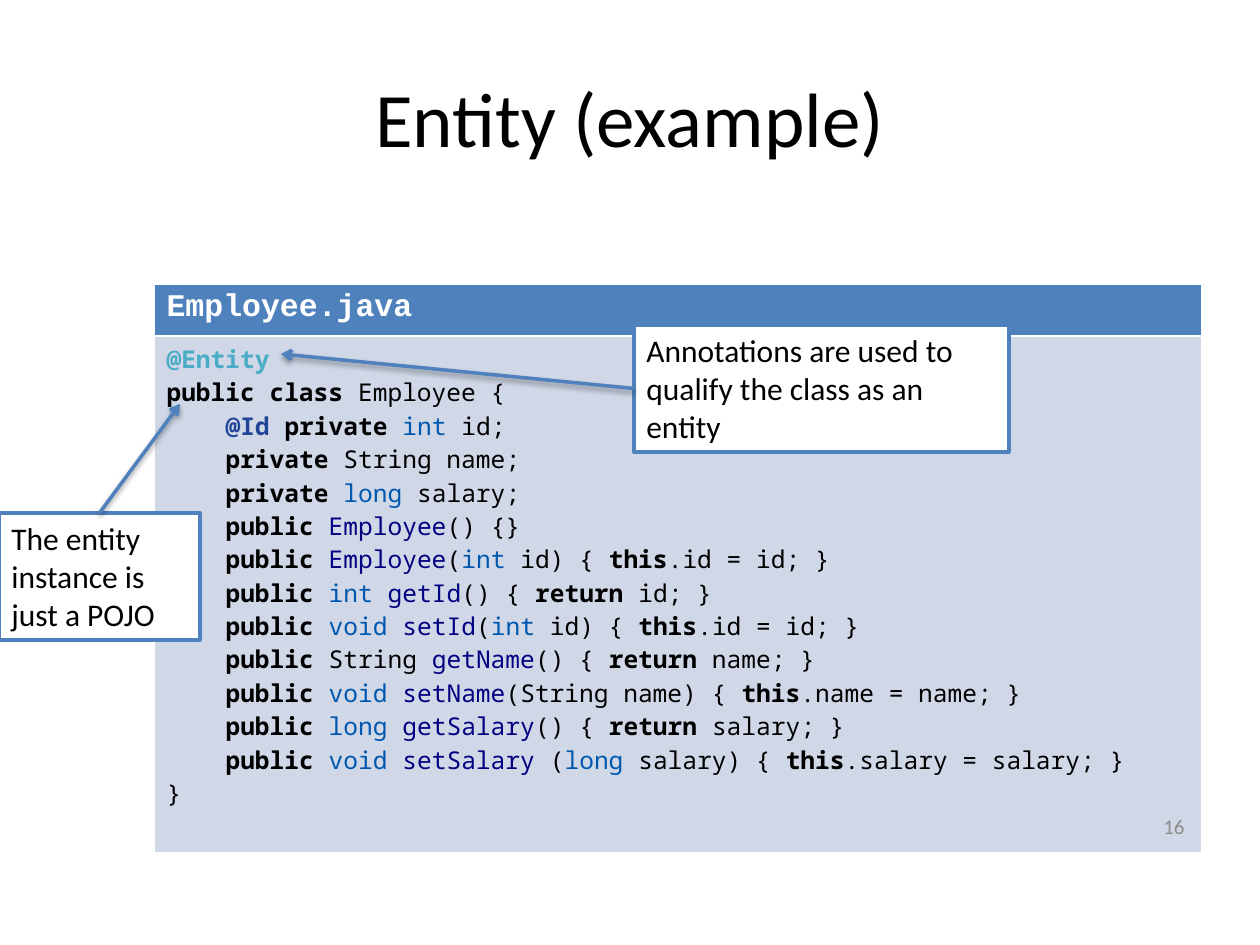
import pptx
import pptx.dml.color
import pptx.enum.shapes
import pptx.enum.text
import pptx.oxml
import pptx.oxml.ns
import pptx.util

PX = 914400 / 126
BLUE, WHITE, BLACK = "4F81BD", "FFFFFF", "000000"
TYPE, METHOD = "0057AE", "010181"


def px(*lengths):
    """Turn pixel lengths into a list of EMU."""
    return [pptx.util.Emu(round(n * PX)) for n in lengths]


def add_run(p, text, size, color, font="Calibri", bold=False):
    r = p.add_run()
    r.text = text
    r.font.size = pptx.util.Pt(size)
    r.font.name = font
    r.font.bold = bold
    r.font.color.rgb = pptx.dml.color.RGBColor.from_string(color)


prs = pptx.Presentation()
prs.slide_width, prs.slide_height = px(1260, 945)
s = prs.slides.add_slide(prs.slide_layouts[5])

title = s.shapes.title
title.left, title.top, title.width, title.height = px(63, 38, 1134, 158)
add_run(title.text_frame.paragraphs[0], "Entity (example)", 44, BLACK)

# Code listing: "|" separates runs, and each token's style is looked up by its word
table = s.shapes.add_table(2, 1, *px(154, 284, 1048, 569)).table
for row, height, fill in zip(table.rows, px(52, 517), (BLUE, "D0D8E8")):
    row.height = height
    row.cells[0].fill.solid()
    row.cells[0].fill.fore_color.rgb = pptx.dml.color.RGBColor.from_string(fill)
add_run(table.cell(0, 0).text_frame.paragraphs[0], "Employee.java", 18, WHITE, "Courier New", True)

styles = {"@Entity": ("4BACC6", True), "@Id": ("21449B", True)}
for word in ("public class", "public", "private", "this", "return"):
    styles[word] = (BLACK, True)
for word in ("int", "long", "void"):
    styles[word] = (TYPE, False)
for word in ("Employee", "getId", "setId", "getName", "setName", "getSalary", "setSalary"):
    styles[word] = (METHOD, False)

code = [
    (0, "@Entity"),
    (0, "public class| Employee {"),
    (1, "@Id |private |int| id;"),
    (1, "private| String name;"),
    (1, "private |long| salary;"),
    (1, "public |Employee|() {}"),
    (1, "public |Employee|(|int| id) { |this|.id = id; }"),
    (1, "public |int |getId|() { |return| id; }"),
    (1, "public |void |setId|(|int| id) { |this|.id = id; }"),
    (1, "public| String |getName|() { |return| name; }"),
    (1, "public |void |setName|(String name) { |this|.name = name; }"),
    (1, "public |long |getSalary|() { |return| salary; }"),
    (1, "public |void |setSalary| (|long| salary) { |this|.salary = salary; }"),
    (0, "}"),
]
tf = table.cell(1, 0).text_frame
for i, (depth, line) in enumerate(code):
    p = tf.add_paragraph() if i else tf.paragraphs[0]
    p._p.get_or_add_pPr().set("marL", str(px(59 * depth)[0]))
    for token in line.split("|"):
        color, bold = styles.get(token.strip(), (BLACK, False))
        add_run(p, token, 14, color, "Noto Sans Mono", bold)

# Callouts: text, box, connection site on the box, arrow start, arrow tip
callouts = [
    ("Annotations are used to qualify the class as an entity",
     (634, 325, 375, 127), 1, (634, 388), (281, 354)),
    ("The entity instance is just a POJO",
     (-1, 513, 201, 127), 0, (99, 513), (180, 404)),
]
shadow_xml = (
    '<a:effectLst %s><a:outerShdw blurRad="40000" dist="20000" dir="5400000" rotWithShape="0">'
    '<a:srgbClr val="000000"><a:alpha val="38000"/></a:srgbClr></a:outerShdw></a:effectLst>'
    % pptx.oxml.ns.nsdecls("a"))
for text, box, site, start, tip in callouts:
    group = s.shapes.add_group_shape()
    sp = group.shapes.add_shape(pptx.enum.shapes.MSO_SHAPE.RECTANGLE, *px(*box))
    sp.shadow.inherit = False
    sp.fill.solid()
    sp.fill.fore_color.rgb = pptx.dml.color.RGBColor.from_string(WHITE)
    tf = sp.text_frame
    tf.word_wrap = True
    tf.vertical_anchor = pptx.enum.text.MSO_ANCHOR.TOP
    tf.paragraphs[0].alignment = pptx.enum.text.PP_ALIGN.LEFT
    add_run(tf.paragraphs[0], text, 18, BLACK)

    arrow = group.shapes.add_connector(
        pptx.enum.shapes.MSO_CONNECTOR.STRAIGHT, *px(*start, *tip))
    arrow.begin_connect(sp, site)
    for shape in (sp, arrow):
        shape.line.width = pptx.util.Pt(2)
        shape.line.color.rgb = pptx.dml.color.RGBColor.from_string(BLUE)
    arrow.line._get_or_add_ln().append(pptx.oxml.parse_xml(
        '<a:tailEnd %s type="arrow"/>' % pptx.oxml.ns.nsdecls("a")))
    arrow._element.spPr.append(pptx.oxml.parse_xml(shadow_xml))

number = s.shapes.add_textbox(*px(903, 801, 294, 50))
tf = number.text_frame
tf.word_wrap = True
tf.vertical_anchor = pptx.enum.text.MSO_ANCHOR.MIDDLE
tf.paragraphs[0].alignment = pptx.enum.text.PP_ALIGN.RIGHT
add_run(tf.paragraphs[0], "16", 12, "8C8C8C")

prs.save("out.pptx")
